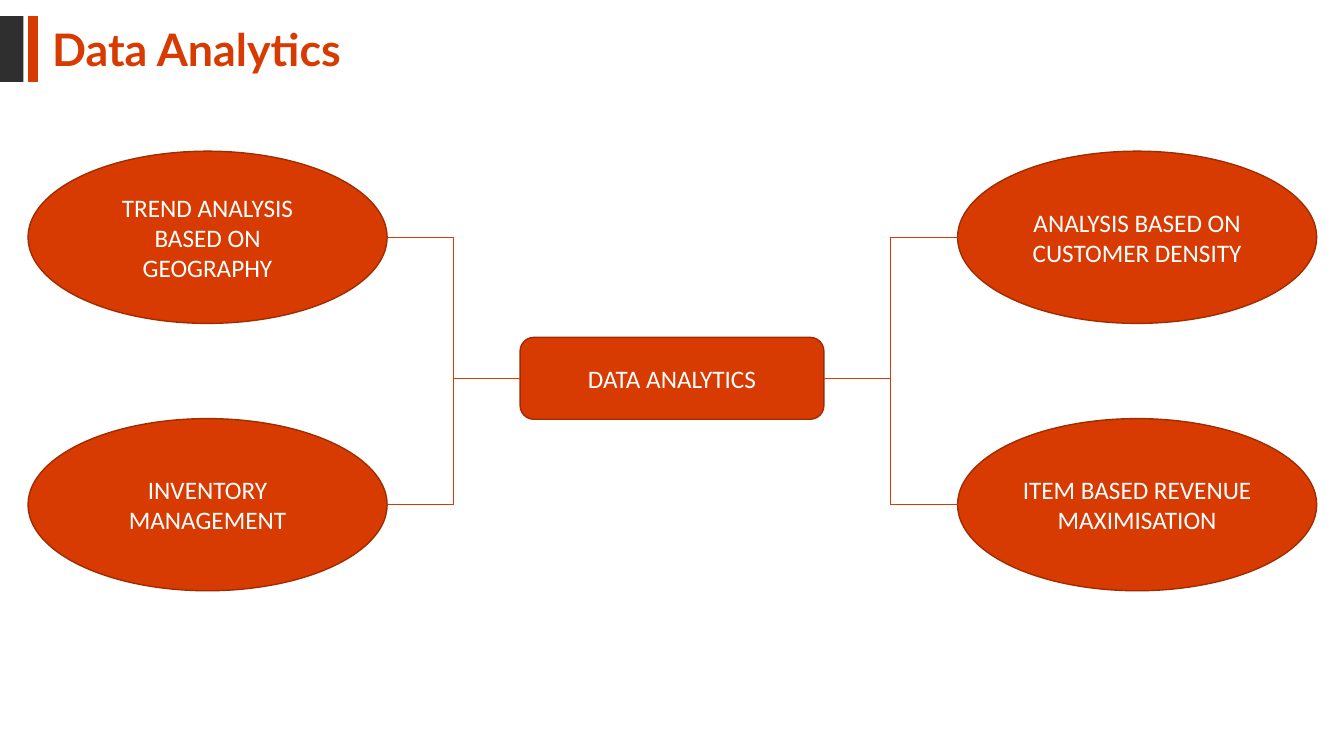
from pptx import Presentation
from pptx.dml.color import RGBColor
from pptx.enum import shapes, text
from pptx.oxml import xmlchemy
from pptx.util import Pt

ORANGE, RUST, CHARCOAL, WHITE = "D83B01", "A02C01", "2F2F2F", "FFFFFF"
OVAL_WIDTH, OVAL_HEIGHT = 256.5, 123
LEFT_COLUMN, RIGHT_COLUMN = 20, 684
TOP_ROW, BOTTOM_ROW = 108, 299
HUB_LEFT, HUB_TOP, HUB_WIDTH, HUB_HEIGHT = 371.5, 241, 217, 58.5
TOPICS = [
    ("TREND ANALYSIS BASED ON GEOGRAPHY", LEFT_COLUMN, TOP_ROW),
    ("INVENTORY MANAGEMENT", LEFT_COLUMN, BOTTOM_ROW),
    ("ITEM BASED REVENUE MAXIMISATION", RIGHT_COLUMN, BOTTOM_ROW),
    ("ANALYSIS BASED ON CUSTOMER DENSITY", RIGHT_COLUMN, TOP_ROW),
]


def paint(color_format, value):
    color_format.rgb = RGBColor.from_string(value)


def write(shape, words, *, size, font, color, bold=False, spacing=1.0,
          align=text.PP_ALIGN.CENTER, anchor=text.MSO_ANCHOR.MIDDLE):
    frame = shape.text_frame
    frame.word_wrap = True
    frame.auto_size = text.MSO_AUTO_SIZE.NONE
    frame.vertical_anchor = anchor
    para = frame.paragraphs[0]
    para.alignment = align
    para.line_spacing = spacing
    span = para.add_run()
    span.text = words
    span.font.size = Pt(size)
    span.font.name = font
    span.font.bold = bold
    paint(span.font.color, color)


def add_title(page, words):
    title = page.shapes.title
    title.left, title.top, title.width, title.height = Pt(30), Pt(19.5), Pt(480), Pt(39)
    write(title, words, size=32, font="Lato", color=ORANGE, bold=True,
          spacing=0.8, align=text.PP_ALIGN.LEFT, anchor=text.MSO_ANCHOR.TOP)


def add_filled(page, kind, left, top, width, height, fill, line=None):
    shape = page.shapes.add_shape(kind, Pt(left), Pt(top), Pt(width), Pt(height))
    shape.shadow.inherit = False
    shape.fill.solid()
    paint(shape.fill.fore_color, fill)
    if line:
        paint(shape.line.color, line)
        shape.line.width = Pt(1)
    else:
        shape.line.fill.background()
    return shape


def add_node(page, kind, words, *bounds):
    node = add_filled(page, kind, *bounds, ORANGE, RUST)
    write(node, words, size=18, font="Calibri", color=WHITE)


def add_elbow(page, start, end):
    points = [Pt(value) for value in (*start, *end)]
    elbow = page.shapes.add_connector(shapes.MSO_CONNECTOR.ELBOW, *points)
    paint(elbow.line.color, ORANGE)
    elbow.line.width = Pt(0.5)
    properties = elbow._element.spPr
    properties.append(xmlchemy.OxmlElement("a:effectLst"))


def main():
    deck = Presentation()
    deck.slide_width, deck.slide_height = Pt(960), Pt(540)
    page = deck.slides.add_slide(deck.slide_layouts[5])
    add_title(page, "Data Analytics")

    preset = shapes.MSO_SHAPE
    for left, width, color in ((0, 16.75, CHARCOAL), (20, 7, ORANGE)):
        add_filled(page, preset.RECTANGLE, left, 11.5, width, 47, color)

    add_node(page, preset.ROUNDED_RECTANGLE, "DATA ANALYTICS",
             HUB_LEFT, HUB_TOP, HUB_WIDTH, HUB_HEIGHT)
    hub_middle = HUB_TOP + HUB_HEIGHT / 2
    for words, left, top in TOPICS:
        add_node(page, preset.OVAL, words, left, top, OVAL_WIDTH, OVAL_HEIGHT)
        oval_middle = top + OVAL_HEIGHT / 2
        if left == LEFT_COLUMN:
            add_elbow(page, (left + OVAL_WIDTH, oval_middle), (HUB_LEFT, hub_middle))
        else:
            add_elbow(page, (HUB_LEFT + HUB_WIDTH, hub_middle), (left, oval_middle))

    deck.save("out.pptx")


if __name__ == "__main__":
    main()
